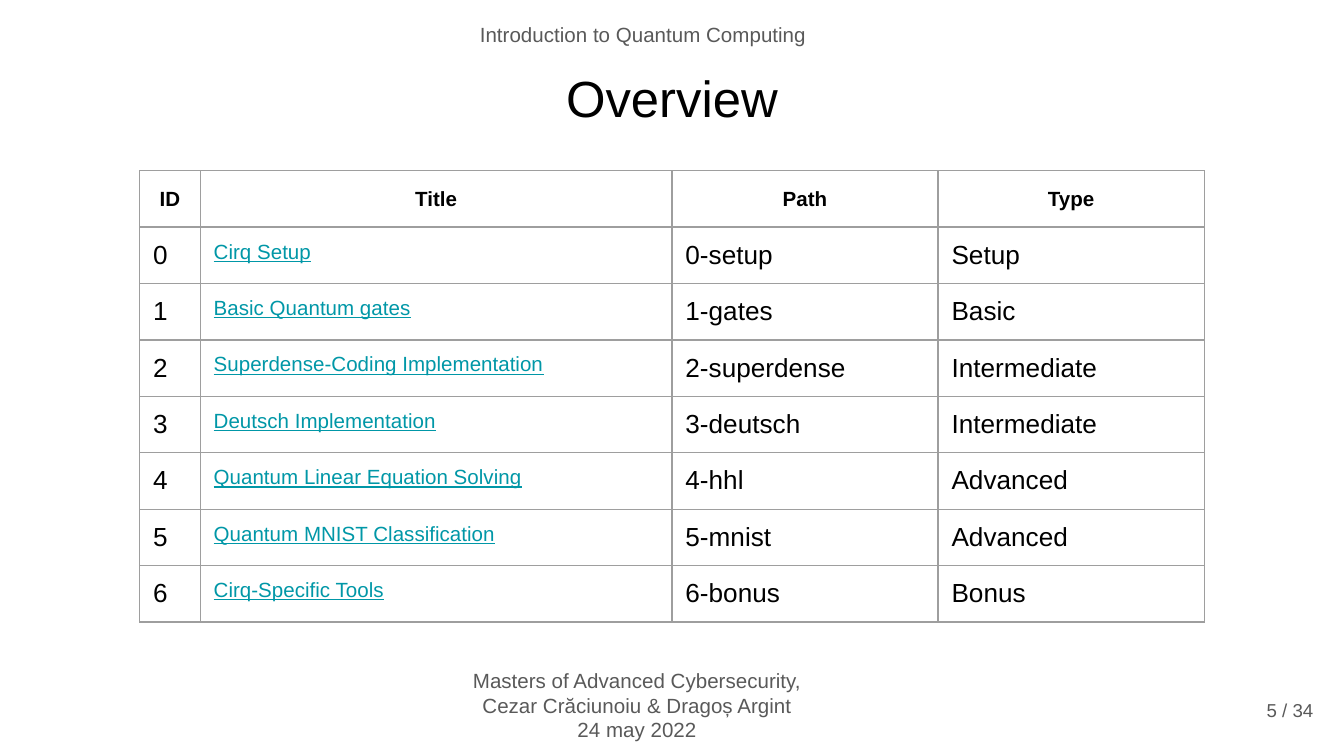
import pptx
import pptx.dml.color
import pptx.enum.shapes
import pptx.enum.text
import pptx.oxml
import pptx.oxml.ns
import pptx.util
from pptx.util import Inches

RGBColor = pptx.dml.color.RGBColor
ALIGN = pptx.enum.text.PP_ALIGN
ANCHOR = pptx.enum.text.MSO_ANCHOR

BLACK = RGBColor(0x00, 0x00, 0x00)
WHITE = RGBColor(0xFF, 0xFF, 0xFF)
GRAY = RGBColor(0x59, 0x59, 0x59)
TEAL = RGBColor(0x00, 0x97, 0xA7)
BORDER = RGBColor(0x9E, 0x9E, 0x9E)

FONT = "Arial"
INSET = Inches(0.1)
COLUMN_WIDTHS = [0.45, 3.51, 1.98, 1.98]
ROW_HEIGHT = 0.42
HEADINGS = ["ID", "Title", "Path", "Type"]
LESSONS = [
    ("Cirq Setup", "setup", "Setup"),
    ("Basic Quantum gates", "gates", "Basic"),
    ("Superdense-Coding Implementation", "superdense", "Intermediate"),
    ("Deutsch Implementation", "deutsch", "Intermediate"),
    ("Quantum Linear Equation Solving", "hhl", "Advanced"),
    ("Quantum MNIST Classification", "mnist", "Advanced"),
    ("Cirq-Specific Tools", "bonus", "Bonus"),
]


def add_run(paragraph, text, size, color, bold=False, underline=False):
    run = paragraph.add_run()
    run.text = text
    run.font.name = FONT
    run.font.size = pptx.util.Pt(size)
    run.font.color.rgb = color
    run.font.bold = bold
    run.font.underline = underline


def set_frame(frame, anchor):
    frame.word_wrap = True
    frame.auto_size = pptx.enum.text.MSO_AUTO_SIZE.NONE
    frame.vertical_anchor = anchor
    frame.margin_left = frame.margin_right = INSET
    frame.margin_top = frame.margin_bottom = INSET


def add_banner(slide, left, top, width, height, paragraphs):
    """Add a white-edged box; each paragraph is a list of lines."""
    banner = slide.shapes.add_shape(
        pptx.enum.shapes.MSO_SHAPE.RECTANGLE,
        Inches(left), Inches(top), Inches(width), Inches(height))
    banner.shadow.inherit = False
    banner.fill.background()
    banner.line.color.rgb = WHITE
    banner.line.width = pptx.util.Pt(0.75)
    frame = banner.text_frame
    set_frame(frame, ANCHOR.TOP)
    for index, lines in enumerate(paragraphs):
        paragraph = frame.add_paragraph() if index else frame.paragraphs[0]
        paragraph.alignment = ALIGN.CENTER
        for number, line in enumerate(lines):
            if number:
                paragraph.add_line_break()
            add_run(paragraph, line, 11, GRAY)


def add_heading(slide, text):
    heading = slide.shapes.title
    heading.left, heading.top = Inches(0.34), Inches(0.59)
    heading.width, heading.height = Inches(9.32), Inches(0.46)
    set_frame(heading.text_frame, ANCHOR.BOTTOM)
    paragraph = heading.text_frame.paragraphs[0]
    paragraph.alignment = ALIGN.CENTER
    add_run(paragraph, text, 27.2, BLACK)


def add_page_number(slide, text):
    number = slide.shapes.add_textbox(
        Inches(9.14), Inches(5.07), Inches(0.73), Inches(0.43))
    set_frame(number.text_frame, ANCHOR.MIDDLE)
    paragraph = number.text_frame.paragraphs[0]
    paragraph.alignment = ALIGN.RIGHT
    add_run(paragraph, text, 10, GRAY)


def set_borders(cell):
    properties = cell._tc.get_or_add_tcPr()
    for side in ("lnL", "lnR", "lnT", "lnB"):
        properties.append(pptx.oxml.parse_xml(
            f'<a:{side} {pptx.oxml.ns.nsdecls("a")} w="{pptx.util.Pt(0.75)}">'
            f'<a:solidFill><a:srgbClr val="{BORDER}"/></a:solidFill></a:{side}>'))


def fill_cell(cell, text, is_header, is_title):
    set_borders(cell)
    cell.fill.background()
    cell.margin_left = cell.margin_right = INSET
    cell.margin_top = cell.margin_bottom = INSET
    paragraph = cell.text_frame.paragraphs[0]
    if is_header:
        paragraph.alignment = ALIGN.CENTER
        paragraph.line_spacing = 1.15
        add_run(paragraph, text, 11, BLACK, bold=True)
    elif is_title:
        add_run(paragraph, text, 11, TEAL, underline=True)
    else:
        add_run(paragraph, text, 14, BLACK)


def add_lesson_table(slide):
    rows = [HEADINGS] + [
        (str(number), title, f"{number}-{folder}", level)
        for number, (title, folder, level) in enumerate(LESSONS)]
    lessons = slide.shapes.add_table(
        len(rows), len(HEADINGS), Inches(1.04), Inches(1.27),
        Inches(sum(COLUMN_WIDTHS)), Inches(ROW_HEIGHT * len(rows))).table
    lessons.first_row = False
    lessons.horz_banding = False
    for column, width in zip(lessons.columns, COLUMN_WIDTHS):
        column.width = Inches(width)
    for r, values in enumerate(rows):
        lessons.rows[r].height = Inches(ROW_HEIGHT)
        for c, text in enumerate(values):
            fill_cell(lessons.cell(r, c), text, r == 0, c == 1)


def main():
    deck = pptx.Presentation()
    # Widescreen, 16 to 9
    deck.slide_width = Inches(10)
    deck.slide_height = Inches(10) * 9 // 16
    slide = deck.slides.add_slide(deck.slide_layouts[5])

    # Course name and event details
    add_banner(slide, 3.28, 0.06, 3.01, 0.39,
               [["Introduction to Quantum Computing"]])
    add_banner(slide, 3.4, 4.87, 2.68, 0.76,
               [["Masters of Advanced Cybersecurity,",
                 "Cezar Crăciunoiu & Dragoș Argint"],
                ["24 may 2022"]])

    # Title, lesson list and page number
    add_heading(slide, "Overview")
    add_lesson_table(slide)
    add_page_number(slide, "5 / 34")

    deck.save("out.pptx")


if __name__ == "__main__":
    main()
